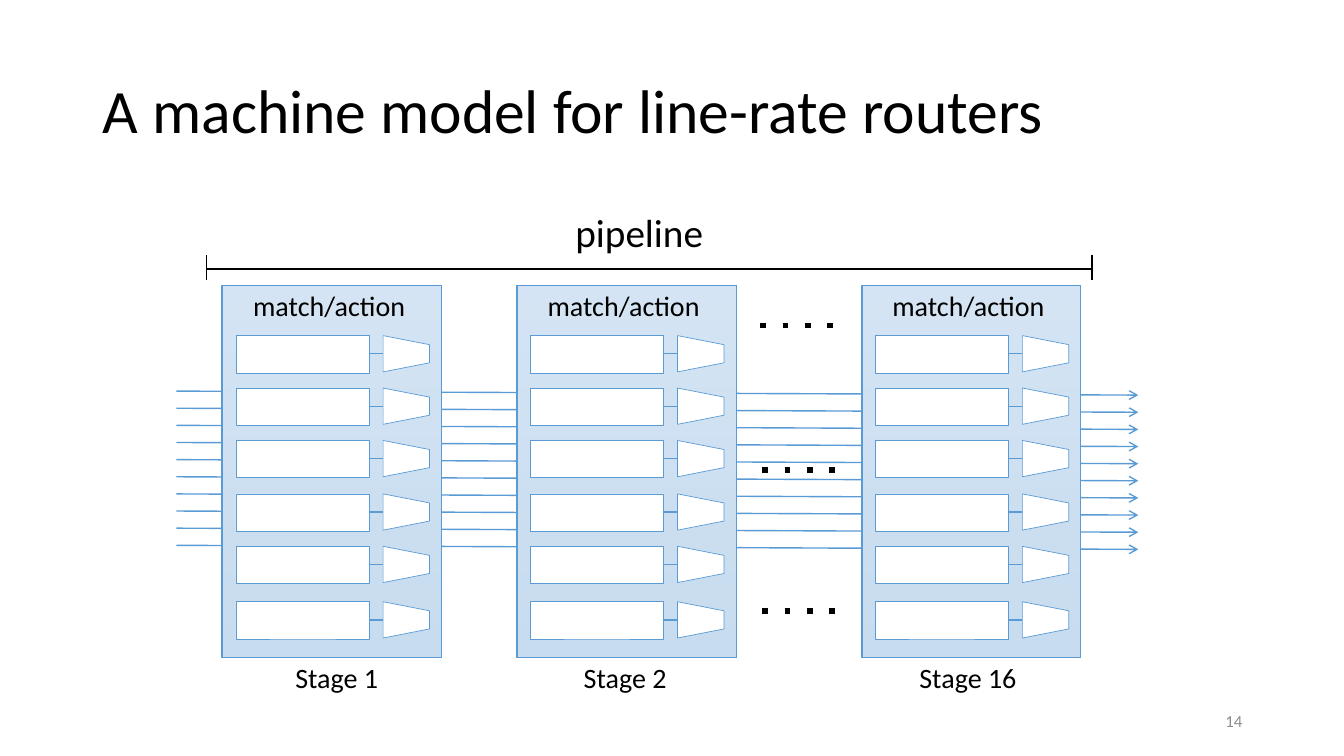
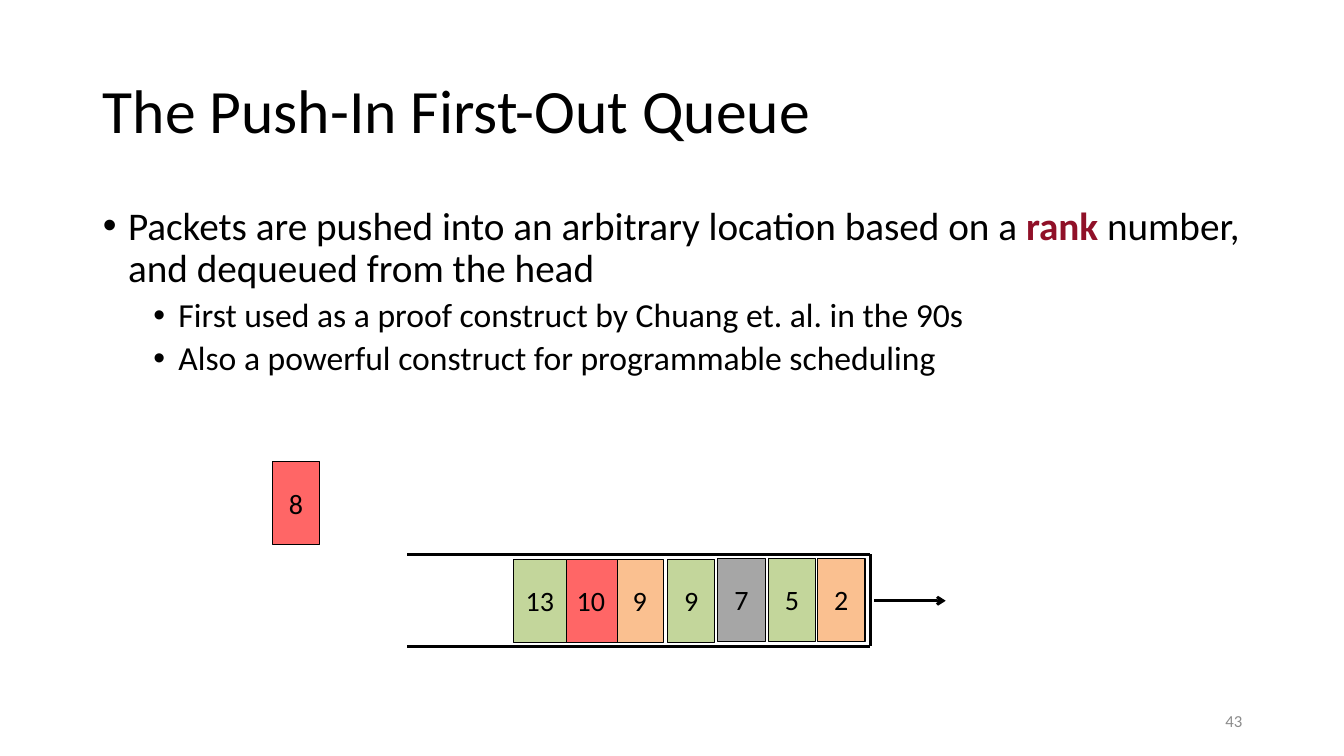
import pptx
import pptx.util
import pptx.dml.color
import pptx.enum.shapes
import pptx.enum.text
import pptx.oxml.ns
from lxml import etree

Inches = pptx.util.Inches
Pt = pptx.util.Pt
qn = pptx.oxml.ns.qn
SHAPE = pptx.enum.shapes.MSO_SHAPE
ALIGN = pptx.enum.text.PP_ALIGN
ANCHOR = pptx.enum.text.MSO_ANCHOR

BLACK, WHITE, GREY = "000000", "FFFFFF", "8C8C8C"
BLUE, BLUE_TOP, BLUE_BOTTOM = "5B9BD5", "71A6DB", "448ACA"
CRIMSON = "901028"
RED, GREEN, ORANGE, SILVER = "FF6666", "C3D69B", "FAC090", "A6A6A6"


def rgb(color):
    return pptx.dml.color.RGBColor.from_string(color)


class Deck:
    """Hold the shared style and the slide being drawn."""

    font = "Calibri"

    def __init__(self):
        self.prs = pptx.Presentation()
        self.prs.slide_width = Inches(13.33)
        self.prs.slide_height = Inches(7.5)

    def slide(self, layout, title, number):
        self.s = self.prs.slides.add_slide(self.prs.slide_layouts[layout])
        tf = self.place(self.s.shapes.title, 0.92, 0.4, 11.5, 1.45, ANCHOR.MIDDLE)
        p = tf.paragraphs[0]
        p.alignment = ALIGN.LEFT
        p.line_spacing = 0.9
        self.run(p, title, 44)
        self.text(number, 9.42, 6.95, 3, 0.4, 12, GREY, ALIGN.RIGHT, ANCHOR.MIDDLE)

    def place(self, sp, x, y, w, h, anchor):
        sp.left, sp.top, sp.width, sp.height = map(Inches, (x, y, w, h))
        tf = sp.text_frame
        tf.word_wrap = True
        tf.auto_size = pptx.enum.text.MSO_AUTO_SIZE.NONE
        tf.vertical_anchor = anchor
        return tf

    def run(self, p, text, size, color=BLACK, bold=False):
        r = p.add_run()
        r.text = text
        r.font.name = self.font
        r.font.size = Pt(size)
        r.font.bold = bold
        r.font.color.rgb = rgb(color)

    def text(self, text, x, y, w, h, size, color=BLACK, align=ALIGN.LEFT,
             anchor=ANCHOR.TOP, inset=(0.1, 0.05)):
        sp = self.s.shapes.add_textbox(0, 0, 0, 0)
        tf = self.place(sp, x, y, w, h, anchor)
        tf.margin_left = tf.margin_right = Inches(inset[0])
        tf.margin_top = tf.margin_bottom = Inches(inset[1])
        p = tf.paragraphs[0]
        p.alignment = align
        self.run(p, text, size, color)

    def bullets(self, items, x, y, w, h):
        tf = self.place(self.s.placeholders[1], x, y, w, h, ANCHOR.TOP)
        for i, (level, size, runs) in enumerate(items):
            p = tf.add_paragraph() if i else tf.paragraphs[0]
            p.level = level
            pPr = p._p.get_or_add_pPr()
            pPr.set("marL", str(Inches(0.25 + 0.5 * level)))
            pPr.set("indent", str(Inches(-0.25)))
            etree.SubElement(pPr, qn("a:buFont")).set("typeface", "Arial")
            etree.SubElement(pPr, qn("a:buChar")).set("char", "•")
            p.line_spacing = 0.9
            p.space_before = Pt(5 if i else 0)
            for text, color, bold in runs:
                self.run(p, text, size, color, bold)

    def shape(self, kind, x, y, w, h, fill=WHITE, line=BLUE, width=0.5):
        sp = self.s.shapes.add_shape(kind, *map(Inches, (x, y, w, h)))
        sp.shadow.inherit = False
        sp.fill.solid()
        sp.fill.fore_color.rgb = rgb(fill)
        sp.line.color.rgb = rgb(line)
        sp.line.width = Pt(width)
        return sp

    def line(self, x1, y1, x2, y2, color=BLACK, width=1, dash=None, arrow=False):
        cxn = self.s.shapes.add_connector(
            pptx.enum.shapes.MSO_CONNECTOR.STRAIGHT, *map(Inches, (x1, y1, x2, y2)))
        cxn.line.color.rgb = rgb(color)
        cxn.line.width = Pt(width)
        ln = cxn.line._get_or_add_ln()
        if dash:
            etree.SubElement(ln, qn("a:prstDash")).set("val", dash)
        if arrow:
            etree.SubElement(ln, qn("a:tailEnd")).set("type", "arrow")
        etree.SubElement(cxn._element.spPr, qn("a:effectLst"))

    def stage(self, x, label, label_x):
        panel = self.shape(SHAPE.RECTANGLE, x, 2.83, 2.18, 3.69)
        panel.fill.gradient()
        panel.fill.gradient_angle = 270
        for stop, color in zip(panel.fill.gradient_stops, (BLUE_TOP, BLUE_BOTTOM)):
            stop.color.rgb = rgb(color)
        veil = self.shape(SHAPE.RECTANGLE, x + 0.01, 2.83, 2.17, 3.69)
        color = veil._element.spPr.find(qn("a:solidFill"))[0]
        etree.SubElement(color, qn("a:alpha")).set("val", "70000")
        for y in (3.33, 3.85, 4.37, 4.9, 5.42, 5.97):
            self.shape(SHAPE.RECTANGLE, x + 0.14, y, 1.32, 0.37)
            action = self.shape(SHAPE.TRAPEZOID, x + 1.65, y - 0.05, 0.36, 0.46)
            action.rotation = 90
            self.line(x + 1.46, y + 0.18, x + 1.6, y + 0.18, BLUE)
        self.text("match/action", x + 0.17, 2.79, 1.92, 0.48, 20, inset=(0.14, 0.07))
        self.text(label, label_x, 6.5, 1.28, 0.44, 20)

    def packet(self, rank, x, y, w, fill):
        sp = self.shape(SHAPE.RECTANGLE, x, y, w, 0.82, fill, BLACK, 0.75)
        tf = sp.text_frame
        tf.vertical_anchor = ANCHOR.MIDDLE
        p = tf.paragraphs[0]
        p.alignment = ALIGN.CENTER
        self.run(p, rank, 20)


def router_slide(deck):
    deck.slide(5, "A machine model for line-rate routers", "14")
    for i in range(10):
        y = 3.88 + 0.17 * i
        deck.line(1.75, y, 11.29, y + 0.04, BLUE, arrow=True)
    for x, y in ((7.54, 3.23), (7.56, 4.66), (7.56, 6.06)):
        deck.line(x, y, x + 0.86, y, width=4, dash="dot")
    left, right = 2.05, 10.83
    for x in (left, right):
        deck.line(x, 2.53, x, 2.78)
    deck.line(left, 2.67, right, 2.67)
    deck.text("pipeline", 4.89, 2, 2.9, 0.62, 28, align=ALIGN.CENTER,
              inset=(0.14, 0.07))
    for x, label, label_x in ((2.2, "Stage 1", 2.83), (5.12, "Stage 2", 5.69),
                              (8.54, "Stage 16", 9.02)):
        deck.stage(x, label, label_x)


def queue_slide(deck):
    deck.slide(1, "The Push-In First-Out Queue", "43")
    deck.bullets([
        (0, 28, [("Packets are pushed into an arbitrary location based on a ", BLACK, False),
                 ("rank ", CRIMSON, True),
                 ("number, and dequeued from the head", BLACK, False)]),
        (1, 24, [("First used as a proof construct by Chuang et. al. in the 90s",
                  BLACK, False)]),
        (1, 24, [("Also a powerful construct for programmable scheduling",
                  BLACK, False)]),
    ], 0.92, 2, 12, 2.96)
    deck.line(8.67, 5.96, 9.38, 5.96, width=2, arrow=True)
    tail, head, top, bottom = 4.04, 8.63, 5.5, 6.41
    for y in (top, bottom):
        deck.line(tail, y, head, y, width=2)
    deck.line(head, bottom, head, top, width=2)
    for rank, x, y, w, fill in (
            ("2", 8.11, 5.54, 0.47, ORANGE), ("5", 7.62, 5.54, 0.47, GREEN),
            ("7", 7.12, 5.54, 0.47, SILVER), ("9", 6.62, 5.55, 0.47, GREEN),
            ("9", 6.11, 5.55, 0.47, ORANGE), ("10", 5.6, 5.55, 0.52, RED),
            ("13", 5.09, 5.55, 0.53, GREEN), ("8", 2.7, 4.58, 0.47, RED)):
        deck.packet(rank, x, y, w, fill)


def main():
    deck = Deck()
    router_slide(deck)
    queue_slide(deck)
    deck.prs.save("out.pptx")


if __name__ == "__main__":
    main()
